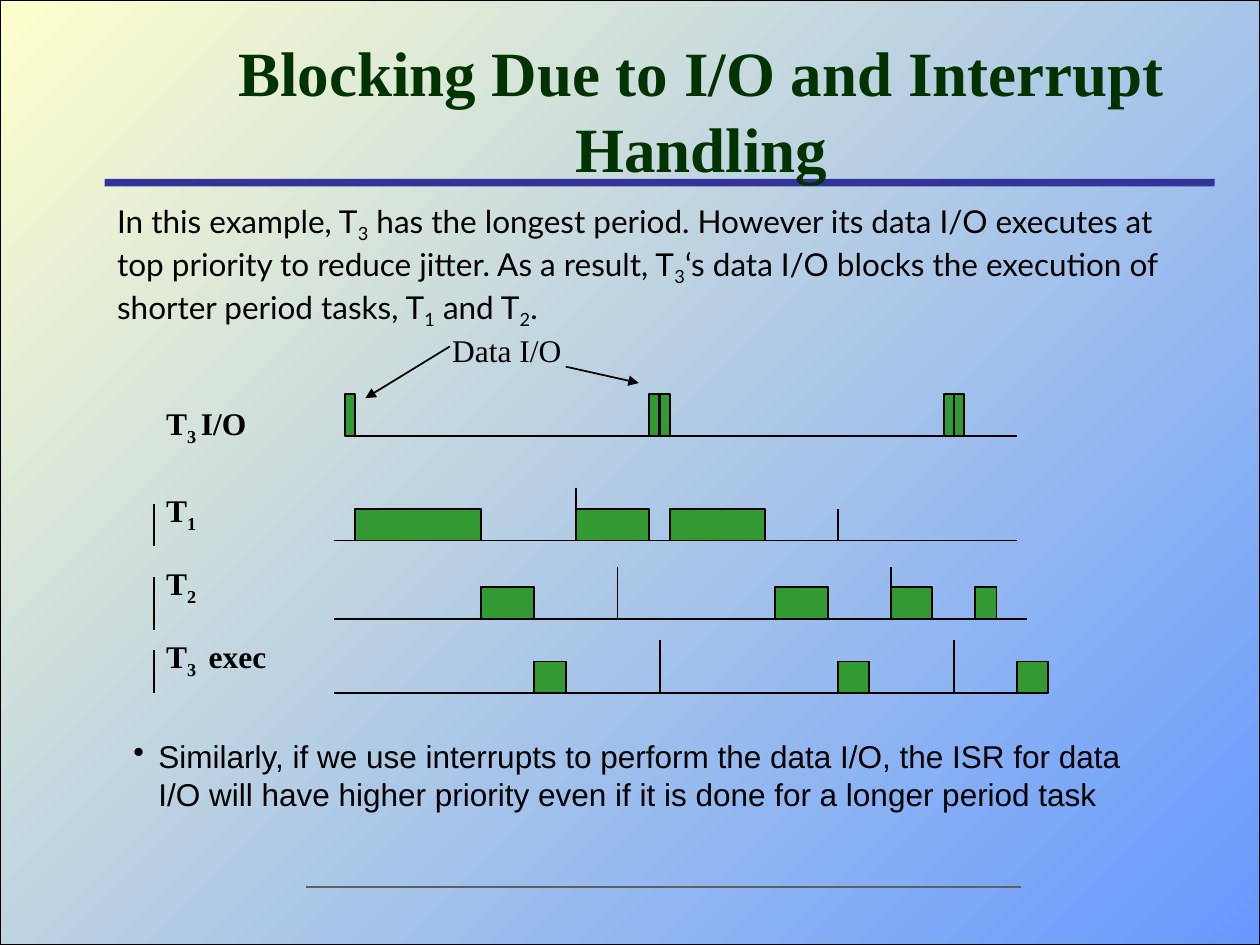
from pptx import Presentation
from pptx.util import Inches, Pt
from pptx.dml.color import RGBColor
from pptx.enum.shapes import MSO_SHAPE as Shape, MSO_CONNECTOR as Link
from pptx.enum.text import PP_ALIGN as Align, MSO_ANCHOR as Anchor, MSO_AUTO_SIZE as Fit
from pptx.oxml.ns import qn
from lxml.etree import SubElement

BLACK = RGBColor(0, 0, 0)
GREEN = RGBColor(0x33, 0x99, 0x33)
PINE = RGBColor(0, 0x33, 0)
NAVY = RGBColor(0x33, 0x33, 0x99)
GREY = RGBColor(0x5F, 0x5F, 0x5F)
BLUE = RGBColor(0x66, 0x99, 0xFF)
CREAM = RGBColor(0xFF, 0xFF, 0xCC)
SERIF = "Times New Roman"

ROWS = [
    dict(label="T~3 ~I/O", box=(1.22, 3.16, 1.11, 0.3), axis=(0.09, 5.42), tall=0.33,
         bars=[(x, 0.08) for x in (0.09, 2.5, 2.59, 4.84, 4.92)]),
    dict(label="T~1~", box=(1.22, 3.85, 1.11, 0.44), axis=(0, 5.42),
         bars=[(0.17, 1), (1.92, 0.58), (2.67, 0.75)],
         ticks=[(1.92, 0.42), (4, 0.25)], mark=(-0.29, 0.04)),
    dict(label="T~2~", box=(1.22, 4.43, 1.11, 0.48), axis=(0, 5.5),
         bars=[(1.17, 0.42), (3.5, 0.42), (4.42, 0.33), (5.09, 0.17)],
         ticks=[(2.25, 0.41), (4.42, 0.41)], mark=(-0.33, 0.09)),
    dict(label="T~3 ~ exec", box=(1.22, 5.01, 1.11, 0.49), axis=(0, 5.59),
         bars=[(x, 0.25) for x in (1.59, 4, 5.42)],
         ticks=[(2.59, 0.42), (4.92, 0.42)], mark=(-0.34, 0)),
]


def place(shape, box):
    shape.left, shape.top, shape.width, shape.height = map(Inches, box)


def write(shape, text, size=18, font=SERIF, color=BLACK, bold=False,
          align=Align.LEFT, anchor=Anchor.TOP, wrap=True, bullet=None):
    frame = shape.text_frame
    frame.word_wrap = wrap
    frame.auto_size = Fit.NONE
    frame.vertical_anchor = anchor
    para = frame.paragraphs[0]
    props = para._p.get_or_add_pPr()
    indent = Inches(0.2) if bullet else 0
    props.set("marL", str(indent))
    props.set("indent", str(-indent))
    if bullet:
        SubElement(props, qn("a:buChar")).set("char", bullet)
    else:
        SubElement(props, qn("a:buNone"))
    para.alignment = align
    para.line_spacing = 1.0
    para.space_before = Pt(0)
    for i, part in enumerate(text.split("~")):
        if not part:
            continue
        run = para.add_run()
        run.text = part
        face = run.font
        face.size, face.name, face.bold = Pt(size), font, bold
        face.color.rgb = color
        if i % 2:
            run._r.get_or_add_rPr().set("baseline", "-25000")


def note(slide, box, text, **style):
    shape = slide.shapes.add_textbox(*map(Inches, box))
    write(shape, text, **style)


def block(slide, box, fill=None, edge=BLACK, width=1):
    shape = slide.shapes.add_shape(Shape.RECTANGLE, *map(Inches, box))
    shape.shadow.inherit = False
    if fill is not None:
        shape.fill.solid()
        shape.fill.fore_color.rgb = fill
    if edge is None:
        shape.line.fill.background()
    else:
        shape.line.color.rgb = edge
        shape.line.width = Pt(width)
    return shape


def rule(slide, start, end, color=BLACK, width=1, arrow=False):
    line = slide.shapes.add_connector(Link.STRAIGHT, *map(Inches, (*start, *end)))
    line.line.color.rgb = color
    line.line.width = Pt(width)
    if arrow:
        SubElement(line.line._get_or_add_ln(), qn("a:tailEnd")).set("type", "triangle")
    SubElement(line._element.spPr, qn("a:effectLst"))


def backdrop(slide, box):
    left, top, wide, tall = box
    page = block(slide, box, width=0.75)
    page.fill.gradient()
    page.fill.gradient_angle = 135
    for stop, color in zip(page.fill.gradient_stops, (BLUE, CREAM)):
        stop.color.rgb = color
    block(slide, (left + 0.83, top + 1.42, 8.81, 0.06), NAVY, None)
    foot = top + tall - 0.46
    rule(slide, (left + 2.43, foot), (left + 8.1, foot), GREY, 1.5)


def holder(slide, shape, box, text, **style):
    slide.shapes._spTree.append(shape._element)
    place(shape, box)
    write(shape, text, **style)


def row(slide, label, box, axis, bars, tall=0.25, ticks=(), mark=None):
    left, top, wide, high = box
    base = top + high
    start = left + 1.43
    rule(slide, (start + axis[0], base), (start + axis[1], base))
    for x, height in ticks:
        rule(slide, (start + x, base - height), (start + x, base))
    for x, width in bars:
        block(slide, (start + x, base - tall, width, tall), GREEN)
    if mark:
        rule(slide, (left, base + mark[0]), (left, base + mark[1]))
    note(slide, (left, top, wide, 0.44), label, bold=True)


def callout(slide, box):
    left, top, wide, tall = box
    note(slide, box, "Data I/O", wrap=False)
    rule(slide, (left + 0.08, top + 0.17), (left - 0.59, top + 0.58), arrow=True)
    rule(slide, (left + 1, top + 0.33), (left + 1.58, top + 0.46), arrow=True)


def main():
    deck = Presentation()
    deck.slide_width, deck.slide_height = Inches(10), Inches(7.5)
    slide = deck.slides.add_slide(deck.slide_layouts[1])
    backdrop(slide, (0, 0, 10, 7.5))
    holder(slide, slide.shapes.title, (1.46, 0.33, 8.21, 1.08),
           "Blocking Due to I/O and Interrupt Handling", size=36, color=PINE,
           bold=True, align=Align.CENTER, anchor=Anchor.MIDDLE)
    holder(slide, slide.placeholders[1], (0.83, 1.55, 8.64, 1.12),
           "In this example, T~3~ has the longest period. However its data I/O "
           "executes at top priority to reduce jitter. As a result, T~3~‘s data I/O "
           "blocks the execution of shorter period tasks, T~1~ and T~2~.", font="Lato")
    for item in ROWS:
        row(slide, **item)
    callout(slide, (3.49, 2.58, 1.07, 0.4))
    note(slide, (0.96, 5.8, 8.37, 0.79),
         "Similarly, if we use interrupts to perform the data I/O, the ISR for data "
         "I/O will have higher priority even if it is done for a longer period task",
         font="Arial", bullet="•")
    deck.save("out.pptx")


if __name__ == "__main__":
    main()
